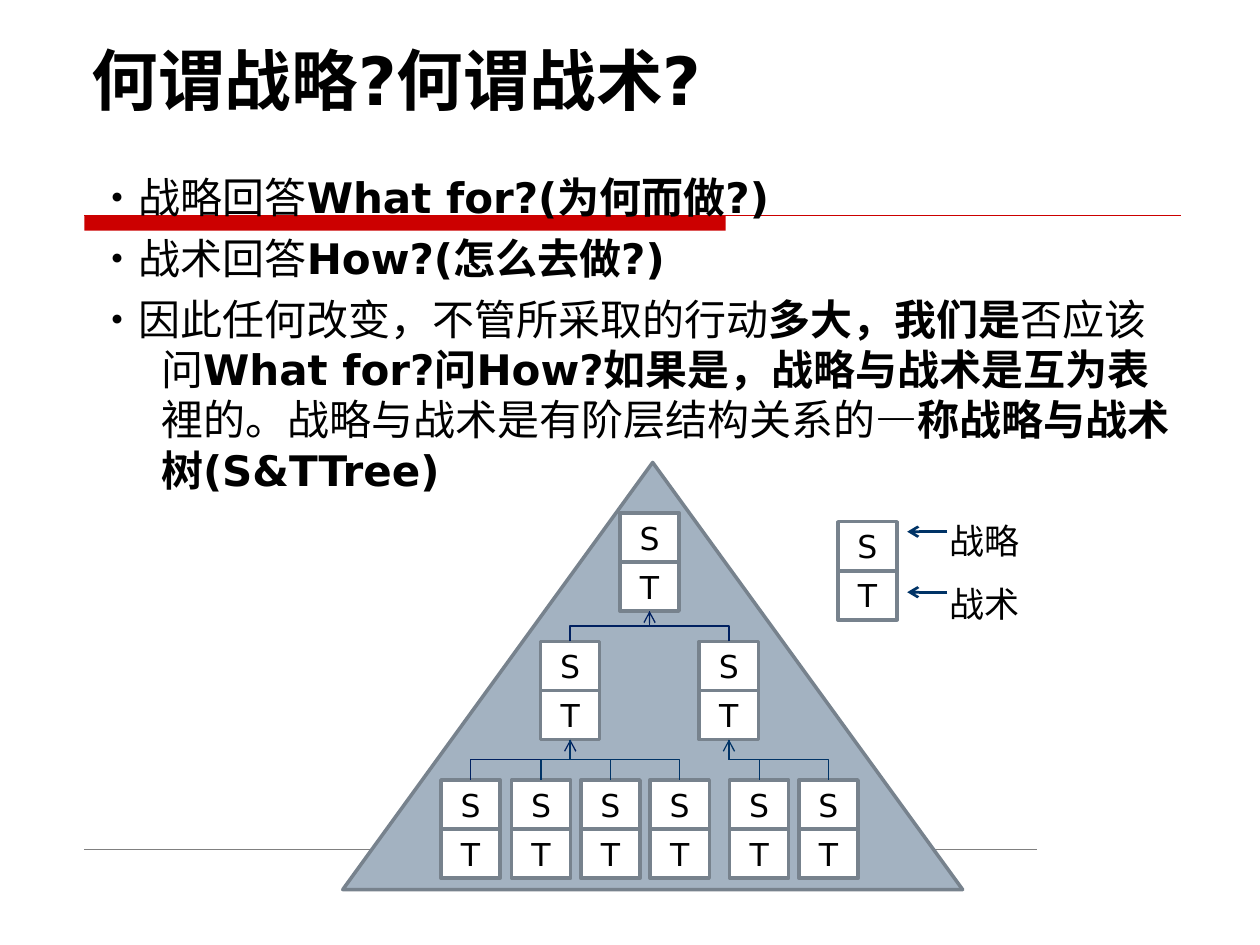
import pptx
import pptx.util
import pptx.dml.color
import pptx.enum.shapes
import pptx.enum.text
import pptx.oxml
import pptx.oxml.ns

Inches = pptx.util.Inches
Pt = pptx.util.Pt
SHAPE = pptx.enum.shapes.MSO_SHAPE
CONNECTOR = pptx.enum.shapes.MSO_CONNECTOR
ANCHOR = pptx.enum.text.MSO_ANCHOR
ALIGN = pptx.enum.text.PP_ALIGN

FONT = "DejaVu Sans"
RED, GRAY, NAVY, DARK_NAVY = "CC0000", "808080", "003366", "002060"
BOX_W, BOX_H = 0.47, 0.39

TITLE = [[("何谓战略?何谓战术?", True)]]
BODY = [
    [("•战略回答", False), ("What for?(为何而做?)", True)],
    [("•战术回答", False), ("How?(怎么去做?)", True)],
    [
        ("•因此任何改变，不管所采取的行动", False),
        ("多大，我们是", True),
        ("否应该问", False),
        ("What for?问How?如果是，战略与战术是互为表", True),
        ("裡的。战略与战术是有阶层结构关系的", False),
        ("—称战略与战术树(S&TTree)", True),
    ],
]
LEGEND = [[("战略", False)], [("战术", False)]]

NODES = {
    "top": (4.92, 4.07),
    "left": (4.29, 5.09),
    "right": (5.55, 5.09),
    "a": (3.5, 6.19),
    "b": (4.06, 6.19),
    "c": (4.61, 6.19),
    "d": (5.16, 6.19),
    "e": (5.79, 6.19),
    "f": (6.34, 6.19),
    "legend": (6.65, 4.14),
}
LINKS = [
    ("left", "top", DARK_NAVY, False),
    ("right", "top", DARK_NAVY, True),
    ("a", "left", DARK_NAVY, True),
    ("b", "left", NAVY, False),
    ("c", "left", NAVY, False),
    ("d", "left", NAVY, False),
    ("e", "right", NAVY, True),
    ("f", "right", NAVY, False),
]


def rgb(value):
    return pptx.dml.color.RGBColor.from_string(value)


def apply(obj, values):
    for name, value in values.items():
        setattr(obj, name, value)


def write(tf, paragraphs, size, **layout):
    tf.word_wrap = True
    for i, runs in enumerate(paragraphs):
        p = tf.paragraphs[0] if i == 0 else tf.add_paragraph()
        apply(p, layout)
        if i == 0:
            p.space_before = Pt(0)
        for text, bold in runs:
            r = p.add_run()
            r.text = text
            apply(r.font, {"name": FONT, "size": Pt(size), "bold": bold})
            r.font.color.rgb = rgb("000000")


def add_text(s, box, paragraphs, size, **layout):
    tf = s.shapes.add_textbox(*map(Inches, box)).text_frame
    write(tf, paragraphs, size, **layout)
    return tf


def add_shape(s, kind, box, fill, line=None):
    sp = s.shapes.add_shape(kind, *map(Inches, box))
    sp.shadow.inherit = False
    sp.fill.solid()
    sp.fill.fore_color.rgb = rgb(fill)
    if line:
        sp.line.color.rgb = rgb(line)
        sp.line.width = Pt(2)
    else:
        sp.line.fill.background()
    return sp


def add_line(s, kind, start, end, color, width, arrow=False):
    cxn = s.shapes.add_connector(kind, *map(Inches, (*start, *end)))
    cxn.line.color.rgb = rgb(color)
    cxn.line.width = Pt(width)
    if arrow:
        tail = pptx.oxml.parse_xml(
            '<a:tailEnd %s type="arrow"/>' % pptx.oxml.ns.nsdecls("a"))
        cxn.line._get_or_add_ln().append(tail)
    effects = pptx.oxml.parse_xml(
        "<a:effectLst %s/>" % pptx.oxml.ns.nsdecls("a"))
    cxn._element.spPr.append(effects)
    return cxn


def add_node(s, left, top):
    boxes = []
    for i, letter in enumerate("ST"):
        box = (left, top + i * BOX_H, BOX_W, BOX_H)
        sp = add_shape(s, SHAPE.RECTANGLE, box, "FFFFFF", "77828D")
        write(sp.text_frame, [[(letter, False)]], 18, alignment=ALIGN.CENTER)
        sp.text_frame.vertical_anchor = ANCHOR.MIDDLE
        boxes.append(sp)
    return boxes


def link(s, child, parent, color, arrow):
    cxn = add_line(s, CONNECTOR.ELBOW, (0, 0), (1, 1), color, 0.75, arrow)
    cxn.begin_connect(child, 0)
    cxn.end_connect(parent, 2)
    x1, y1, x2, y2 = cxn.begin_x, cxn.begin_y, cxn.end_x, cxn.end_y
    width, height = y1 - y2, abs(x1 - x2)
    apply(cxn, {
        "left": (x1 + x2 - width) // 2,
        "top": (y1 + y2 - height) // 2,
        "width": width,
        "height": height,
    })
    xfrm = cxn._element.spPr.xfrm
    from_left = x1 < x2
    apply(xfrm, {"rot": 90 if from_left else 270,
                 "flipH": from_left, "flipV": True})


def main():
    prs = pptx.Presentation()
    prs.slide_width, prs.slide_height = Inches(10), Inches(7.5)
    s = prs.slides.add_slide(prs.slide_layouts[6])

    add_shape(s, SHAPE.RECTANGLE, (0.67, 1.71, 5.09, 0.12), RED)
    add_line(s, CONNECTOR.STRAIGHT, (0.67, 1.71), (9.37, 1.71), RED, 0.75)
    add_line(s, CONNECTOR.STRAIGHT, (0.67, 6.74), (8.23, 6.74), GRAY, 0.25)

    tf = add_text(s, (0.63, 0.33, 8.75, 0.66), TITLE, 38)
    tf.vertical_anchor = ANCHOR.BOTTOM
    tf = add_text(s, (0.67, 1.31, 8.75, 2.76), BODY, 24, space_before=Pt(6))
    for p in tf.paragraphs:
        pPr = p._p.get_or_add_pPr()
        pPr.set("marL", str(Inches(0.51)))
        pPr.set("indent", str(Inches(-0.51)))
    add_text(s, (7.44, 3.91, 1.5, 1.1), LEGEND, 20, line_spacing=1.5)

    add_shape(s, SHAPE.ISOSCELES_TRIANGLE, (2.72, 3.67, 4.92, 3.39),
              "A3B2C1", "77828D")
    nodes = {name: add_node(s, *at) for name, at in NODES.items()}
    for y in (4.22, 4.7):
        add_line(s, CONNECTOR.STRAIGHT, (7.52, y), (7.2, y), NAVY, 1.5, True)
    for child, parent, color, arrow in LINKS:
        link(s, nodes[child][0], nodes[parent][1], color, arrow)

    prs.save("out.pptx")


if __name__ == "__main__":
    main()
